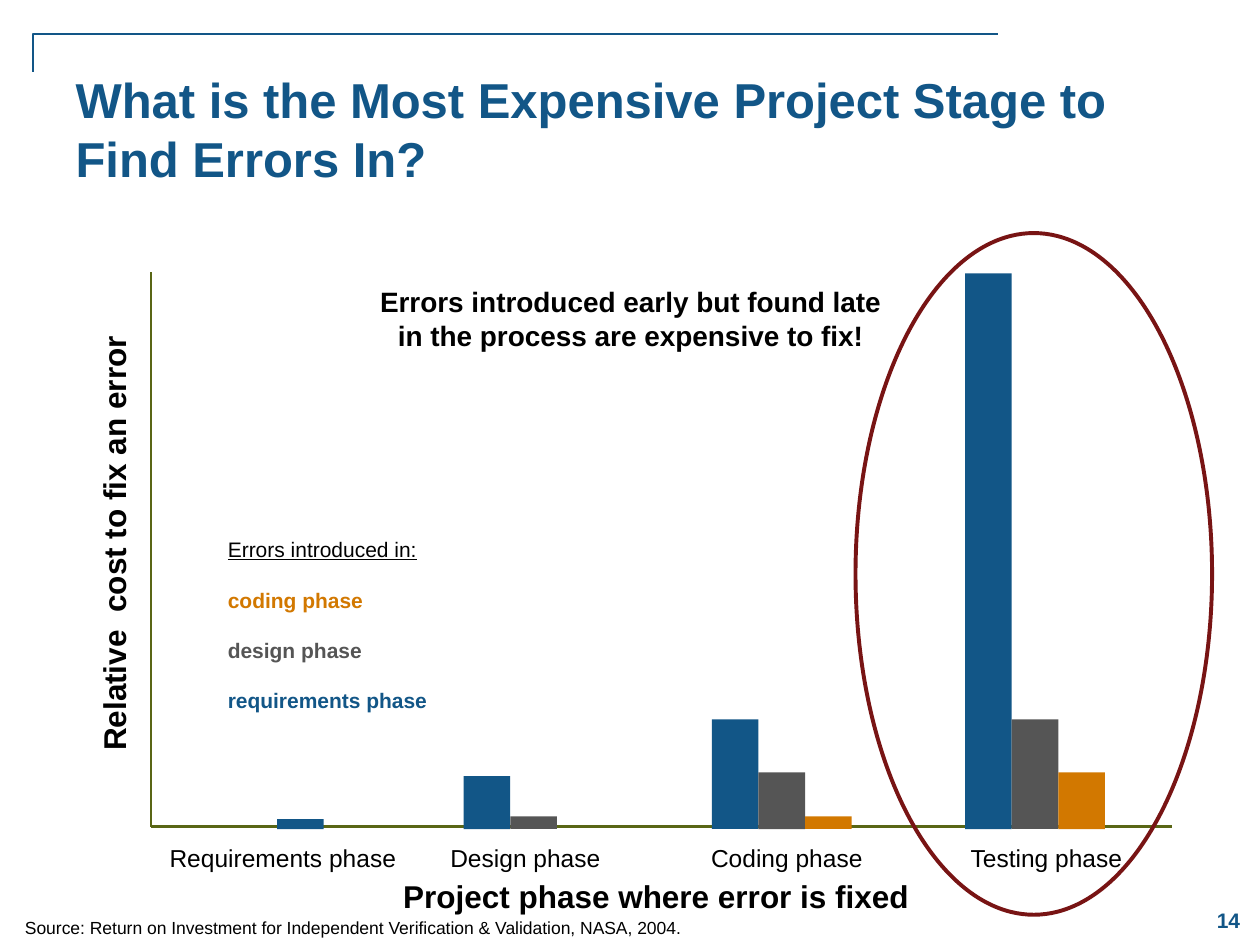
"""Build the slide on the cost of finding project errors late."""
from lxml import etree
from pptx import Presentation
from pptx.dml.color import RGBColor
from pptx.enum.shapes import MSO_CONNECTOR, MSO_SHAPE
from pptx.enum.text import MSO_ANCHOR, MSO_AUTO_SIZE, PP_ALIGN
from pptx.oxml.ns import qn
from pptx.util import Inches, Pt

LEFT, CENTER = PP_ALIGN.LEFT, PP_ALIGN.CENTER
TOP, MIDDLE = MSO_ANCHOR.TOP, MSO_ANCHOR.MIDDLE
RECTANGLE, OVAL = MSO_SHAPE.RECTANGLE, MSO_SHAPE.OVAL
STRAIGHT = MSO_CONNECTOR.STRAIGHT
NO_AUTOFIT = MSO_AUTO_SIZE.NONE

BLUE = RGBColor(0x12, 0x56, 0x87)
GRAY = RGBColor(0x55, 0x55, 0x55)
ORANGE = RGBColor(0xD2, 0x78, 0x00)
OLIVE = RGBColor(0x59, 0x66, 0x15)
DARK_RED = RGBColor(0x78, 0x14, 0x14)
BLACK = RGBColor(0, 0, 0)

TITLE = "What is the Most Expensive Project Stage to Find Errors In?"
MESSAGE = "Errors introduced early but found late in the process are expensive to fix!"
VERTICAL_TITLE = "Relative  cost to fix an error"
HORIZONTAL_TITLE = "Project phase where error is fixed"
SOURCE = ("Source: Return on Investment for Independent Verification & Validation, "
          "NASA, 2004.")
PAGE_NUMBER = "14"

SERIES_COLORS = [BLUE, GRAY, ORANGE]
PHASES = [
    ("Requirements phase", 1.34, 1.81, 2.2, [0.08]),
    ("Design phase", 3.57, 1.2, 3.68, [0.42, 0.1]),
    ("Coding phase", 5.64, 1.21, 5.65, [0.87, 0.45, 0.1]),
    ("Testing phase", 7.7, 1.21, 7.66, [4.41, 0.87, 0.45]),
]
LEGEND = [
    ("Errors introduced in:", BLACK),
    ("coding phase", ORANGE),
    ("design phase", GRAY),
    ("requirements phase", BLUE),
]
LEGEND_LEFT, LEGEND_TOP, LEGEND_STEP = 1.71, 4.21, 0.4

AXIS_X, AXIS_Y = 1.2, 6.56
AXIS_TOP, AXIS_RIGHT = 2.16, 9.3
BAR_BOTTOM, BAR_WIDTH = 6.58, 0.37
CORNER_LINE = [(7.92, 0.27), (0.26, 0.27), (0.26, 0.57)]


def format_text(text_frame, text, size, color, bold=False, align=LEFT):
    text_frame.text = text
    paragraph = text_frame.paragraphs[0]
    paragraph.alignment = align
    font = paragraph.runs[0].font
    font.name, font.size, font.bold = "Arial", Pt(size), bold
    font.color.rgb = color
    return font


def add_text(slide, box, text, size, color=BLACK, bold=False, align=LEFT,
             wrap=True, anchor=TOP):
    shape = slide.shapes.add_textbox(*map(Inches, box))
    frame = shape.text_frame
    frame.word_wrap = wrap
    frame.vertical_anchor = anchor
    if not wrap:
        frame.margin_left = frame.margin_right = 0
        frame.margin_top = frame.margin_bottom = 0
    format_text(frame, text, size, color, bold, align)
    return shape


def add_axis(slide, *ends):
    axis = slide.shapes.add_connector(STRAIGHT, *map(Inches, ends))
    axis.line.color.rgb = OLIVE
    axis.line.width = Pt(1.25)
    etree.SubElement(axis._element.spPr, qn("a:effectLst"))


def add_corner_line(slide):
    start, *rest = [tuple(map(Inches, point)) for point in CORNER_LINE]
    builder = slide.shapes.build_freeform(*start)
    builder.add_line_segments(rest, close=False)
    corner = builder.convert_to_shape()
    corner.shadow.inherit = False
    corner.fill.background()
    corner.line.color.rgb = BLUE
    corner.line.width = Pt(1)


def add_title(slide):
    title = slide.shapes.title
    title.left, title.top = Inches(0.5), Inches(0.5)
    title.width, title.height = Inches(8.83), Inches(1.08)
    title.text_frame.auto_size = NO_AUTOFIT
    title.text_frame.vertical_anchor = TOP
    format_text(title.text_frame, TITLE, 28, BLUE, bold=True)


def add_highlight(slide):
    ellipse = slide.shapes.add_shape(OVAL, *map(Inches, (6.79, 1.85, 2.83, 5.41)))
    ellipse.shadow.inherit = False
    ellipse.fill.background()
    ellipse.line.color.rgb = DARK_RED
    ellipse.line.width = Pt(2.25)


def add_phases(slide):
    for label, label_left, label_width, bars_left, heights in PHASES:
        add_text(slide, (label_left, 6.69, label_width, 0.24), label, 14,
                 align=CENTER, wrap=False)
        for index, (height, color) in enumerate(zip(heights, SERIES_COLORS)):
            box = (bars_left + index * BAR_WIDTH, BAR_BOTTOM - height, BAR_WIDTH, height)
            bar = slide.shapes.add_shape(RECTANGLE, *map(Inches, box))
            bar.shadow.inherit = False
            bar.fill.solid()
            bar.fill.fore_color.rgb = color
            bar.line.fill.background()


def add_legend(slide):
    for index, (text, color) in enumerate(LEGEND):
        box = (LEGEND_LEFT, LEGEND_TOP + index * LEGEND_STEP, 2.8, 0.28)
        entry = add_text(slide, box, text, 12, color, bold=index > 0)
        if index == 0:
            entry.text_frame.paragraphs[0].runs[0].font.underline = True


def main():
    presentation = Presentation()
    presentation.slide_width, presentation.slide_height = Inches(10), Inches(7.5)
    slide = presentation.slides.add_slide(presentation.slide_layouts[5])

    add_corner_line(slide)
    add_text(slide, (9.5, 7.09, 0.5, 0.42), PAGE_NUMBER, 12, BLUE, True, CENTER,
             anchor=MIDDLE)
    add_title(slide)
    add_axis(slide, AXIS_X, AXIS_TOP, AXIS_X, AXIS_Y)
    add_axis(slide, AXIS_X, AXIS_Y, AXIS_RIGHT, AXIS_Y)
    vertical_title = add_text(slide, (-0.76, 4.15, 3.32, 0.3), VERTICAL_TITLE, 18,
                              bold=True, wrap=False)
    vertical_title.rotation = 270
    add_text(slide, (3.2, 6.96, 4.05, 0.27), HORIZONTAL_TITLE, 18, bold=True, wrap=False)
    add_text(slide, (2.9, 2.21, 4.21, 0.64), MESSAGE, 16, bold=True, align=CENTER)
    add_highlight(slide)
    add_phases(slide)
    add_legend(slide)
    add_text(slide, (0.1, 7.23, 5.73, 0.27), SOURCE, 10)

    presentation.save("out.pptx")


if __name__ == "__main__":
    main()
